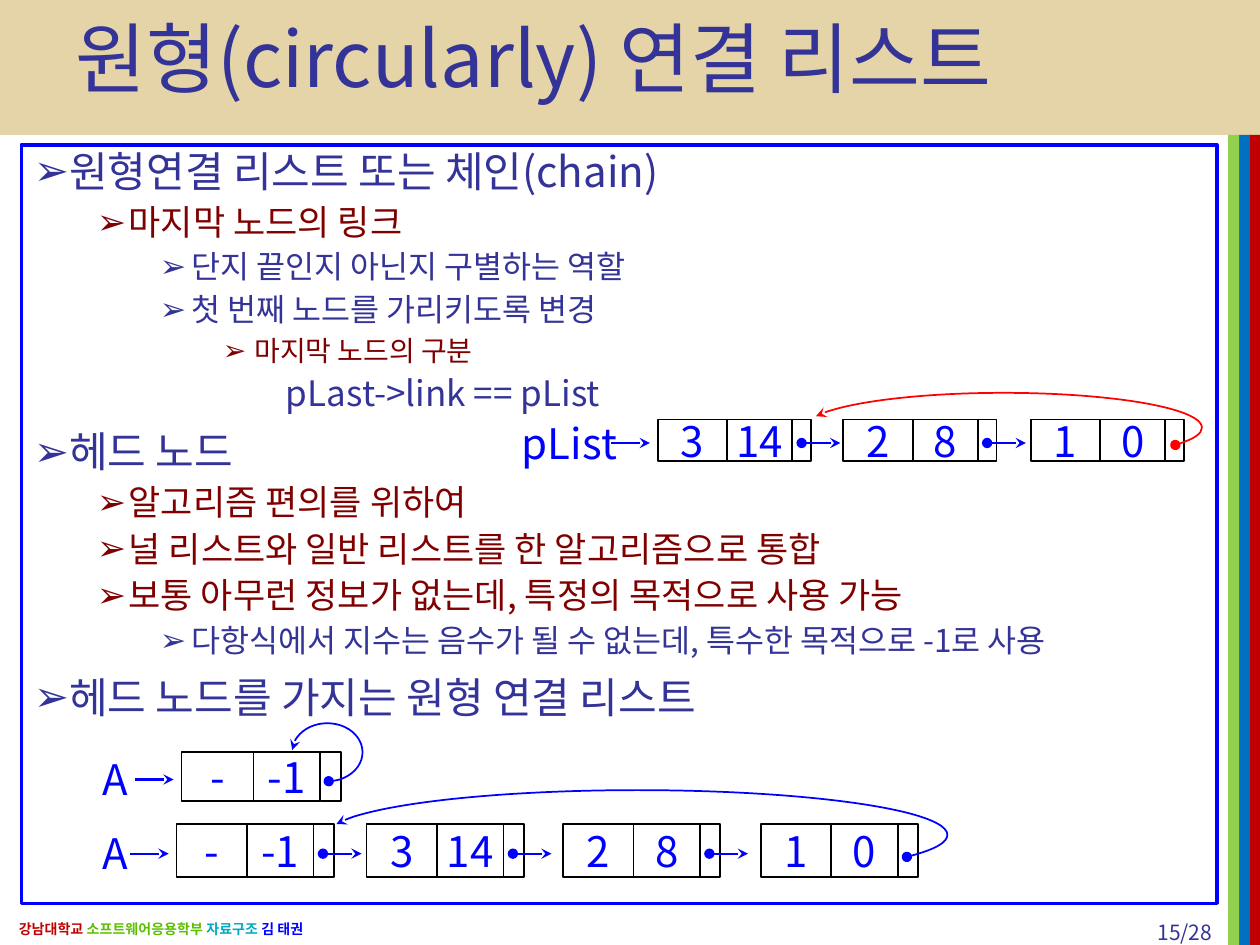
from lxml.etree import SubElement
from pptx import Presentation
from pptx.dml.color import RGBColor
from pptx.enum.shapes import MSO_CONNECTOR as Connector, MSO_SHAPE as Shape
from pptx.enum.text import MSO_ANCHOR as Anchor, MSO_AUTO_SIZE as AutoSize, PP_ALIGN as Align
from pptx.oxml.ns import qn
from pptx.util import Cm, Pt

FONT = "Noto Sans CJK KR"
NAVY, MAROON, BLUE, RED, BLACK = "333398", "800000", "0000FF", "FF0000", "000000"
color_of = RGBColor.from_string


def write(para, text, size=24, color=BLUE, bold=False, align=Align.LEFT):
    para.alignment = align
    span = para.add_run()
    span.text = text
    span.font.size = Pt(size)
    span.font.bold = bold
    span.font.color.rgb = color_of(color)
    span.font.name = FONT
    SubElement(span.font._element, qn("a:ea")).set("typeface", FONT)


def draw_line(shape, color, width, head=None, tail=None):
    shape.line.color.rgb = color_of(color)
    shape.line.width = Pt(width)
    for tag, end in (("a:headEnd", head), ("a:tailEnd", tail)):
        if end:
            SubElement(shape.line._get_or_add_ln(), qn(tag)).set("type", end)


deck = Presentation()
deck.slide_width, deck.slide_height = Cm(25.4), Cm(19.05)
page = deck.slides.add_slide(deck.slide_layouts[1])
title, body = page.placeholders

bands = [
    (0, 0, 25.4, 2.72, "E5D4A7"),
    (25.18, 2.72, 0.22, 16.33, "C00000"),
    (24.98, 2.72, 0.22, 16.33, "0070C0"),
    (24.76, 2.72, 0.22, 16.33, "92D050"),
]
for left, top, width, height, color in bands:
    band = page.shapes.add_shape(Shape.RECTANGLE, Cm(left), Cm(top), Cm(width), Cm(height))
    band.shadow.inherit = False
    band.fill.solid()
    band.fill.fore_color.rgb = color_of(color)
    band.line.fill.background()
for holder in (body, title):
    page.shapes._spTree.append(holder._element)

title.left, title.top, title.width, title.height = Cm(1.27), Cm(0), Cm(22.86), Cm(2.54)
title.text_frame.auto_size = AutoSize.NONE
title.text_frame.vertical_anchor = Anchor.MIDDLE
title.text_frame.paragraphs[0].line_spacing = 0.9
write(title.text_frame.paragraphs[0], "원형(circularly) 연결 리스트", size=44, color=NAVY)

body.left, body.top, body.width, body.height = Cm(0.43), Cm(2.92), Cm(24.1), Cm(15.29)
body.text_frame.auto_size = AutoSize.NONE
draw_line(body, BLUE, 2)
levels = [(24, NAVY), (20, MAROON), (18, NAVY), (16, MAROON), (20, NAVY)]
outline = [
    (0, "원형연결 리스트 또는 체인(chain)"),
    (1, "마지막 노드의 링크"),
    (2, "단지 끝인지 아닌지 구별하는 역할"),
    (2, "첫 번째 노드를 가리키도록 변경"),
    (3, "마지막 노드의 구분"),
    (4, "pLast->link == pList"),
    (0, "헤드 노드"),
    (1, "알고리즘 편의를 위하여"),
    (1, "널 리스트와 일반 리스트를 한 알고리즘으로 통합"),
    (1, "보통 아무런 정보가 없는데, 특정의 목적으로 사용 가능"),
    (2, "다항식에서 지수는 음수가 될 수 없는데, 특수한 목적으로 -1로 사용"),
    (0, "헤드 노드를 가지는 원형 연결 리스트"),
]
for index, (level, text) in enumerate(outline):
    para = body.text_frame.add_paragraph() if index else body.text_frame.paragraphs[0]
    para.level = level
    para.line_spacing = 0.9
    para.space_before = Pt(5 if level else 10)
    size, color = levels[level]
    write(para, text, size=size, color=color)
    hanging = level < 4
    props = para._p.get_or_add_pPr()
    props.set("marL", str(Cm(0.64 + 1.27 * level if hanging else 5.08)))
    props.set("indent", str(Cm(-0.64 if hanging else 0)))
    if hanging:
        SubElement(props, qn("a:buChar")).set("char", "➢")
    else:
        SubElement(props, qn("a:buNone"))

chains = [
    dict(label="pList", label_left=10.31, label_width=2.34, top=8.46, height=0.84,
         widths=(1.4, 1.31, 0.38),
         nodes=[(13.26, "3", "14"), (17, "2", "8"), (20.78, "1", "0")],
         loop=(16.23, 7.92, 8, 1.4), angles=(110.08, 3.46), loop_color=RED),
    dict(label="A", label_left=2.01, label_width=0.61, top=15.16, height=0.99,
         widths=(1.45, 1.35, 0.41),
         nodes=[(3.66, "-", "-1")],
         loop=(5.89, 14.58, 1.42, 1.17), angles=(110.08, 52.34), loop_color=BLUE),
    dict(label="A", label_left=2.01, label_width=0.61, top=16.61, height=1.07,
         widths=(1.42, 1.34, 0.41),
         nodes=[(3.56, "-", "-1"), (7.39, "3", "14"), (11.35, "2", "8"), (15.34, "1", "0")],
         loop=(6.6, 15.93, 12.5, 1.8), angles=(109.22, 2.81), loop_color=BLUE),
]
for chain in chains:
    shapes = page.shapes.add_group_shape().shapes
    top, height, widths, nodes = (chain[key] for key in ("top", "height", "widths", "nodes"))
    label = shapes.add_textbox(Cm(chain["label_left"]), Cm(top + 0.04),
                               Cm(chain["label_width"]), Cm(height))
    labels = [(label, chain["label"])]
    arrows = [(nodes[0][0] - 0.94, None)]

    for node_left, *values in nodes:
        left = node_left
        for width, value in zip(widths, values + [""]):
            cell = shapes.add_shape(Shape.RECTANGLE, Cm(left), Cm(top), Cm(width), Cm(height))
            cell.shadow.inherit = False
            cell.fill.background()
            draw_line(cell, BLACK, 1)
            if value:
                labels.append((cell, value))
            left += width
        if node_left != nodes[-1][0]:
            arrows.append((node_left + widths[0] + widths[1] + 0.19, "oval"))

    for box, text in labels:
        frame = box.text_frame
        frame.margin_left = frame.margin_right = 0
        frame.word_wrap = False
        frame.vertical_anchor = Anchor.MIDDLE
        write(frame.paragraphs[0], text, align=Align.CENTER)

    link_y = Cm(top + 0.56 * height)
    for start, head in arrows:
        arrow = shapes.add_connector(Connector.STRAIGHT, Cm(start), link_y, Cm(start + 0.78), link_y)
        draw_line(arrow, BLUE, 1.25, head=head, tail="stealth")
        SubElement(arrow._element.spPr, qn("a:effectLst"))

    loop = shapes.add_shape(Shape.ARC, *map(Cm, chain["loop"]))
    loop.adjustments[0], loop.adjustments[1] = chain["angles"]
    loop.shadow.inherit = False
    loop.fill.background()
    draw_line(loop, chain["loop_color"], 1, head="stealth", tail="oval")

footer = page.shapes.add_textbox(Cm(0.13), Cm(18.41), Cm(8.97), Cm(0.64))
footer.text_frame.word_wrap = True
footer.text_frame.vertical_anchor = Anchor.MIDDLE
credits = [("강남대학교 ", "C00000"), ("소프트웨어응용학부 ", "5BC000"),
           ("자료구조 ", "00A9C0"), ("김 태권", BLUE)]
for text, color in credits:
    write(footer.text_frame.paragraphs[0], text, size=8, color=color, bold=True)

number = page.shapes.add_textbox(Cm(22.58), Cm(18.41), Cm(2.11), Cm(0.64))
number.text_frame.word_wrap = True
write(number.text_frame.paragraphs[0], "15/28", size=12, color=NAVY, align=Align.RIGHT)

deck.save("out.pptx")
